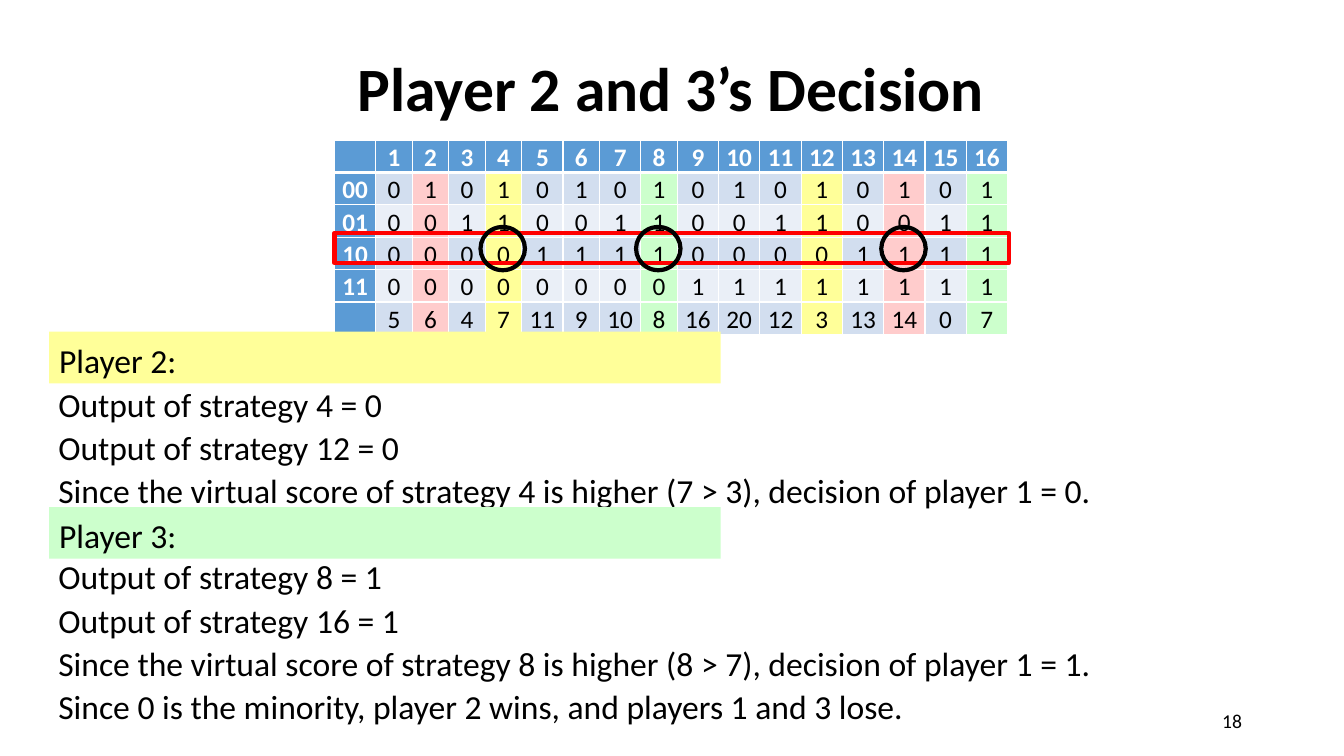
from lxml import etree
from pptx import Presentation
from pptx import util as u
from pptx.dml.color import RGBColor
from pptx.enum import shapes, text
from pptx.oxml import ns

BLACK = RGBColor(0x00, 0x00, 0x00)
WHITE = RGBColor(0xFF, 0xFF, 0xFF)
RED = RGBColor(0xFF, 0x00, 0x00)
BLUE = RGBColor(0x5B, 0x9B, 0xD5)
BANDS = (RGBColor(0xEA, 0xEF, 0xF7), RGBColor(0xD2, 0xDE, 0xEF))
PINK = RGBColor(0xFF, 0xCC, 0xCC)
YELLOW = RGBColor(0xFF, 0xFF, 0x99)
GREEN = RGBColor(0xCC, 0xFF, 0xCC)
FONT = "Calibri"

# Columns of the table belonging to each player
STRATEGY_FILLS = {2: PINK, 14: PINK, 4: YELLOW, 12: YELLOW, 8: GREEN, 16: GREEN}
CHOSEN_STRATEGIES = (14, 4, 8)
STRATEGY_ROWS = (
    [""] + [str(number) for number in range(1, 17)],
    "00 0 1 0 1 0 1 0 1 0 1 0 1 0 1 0 1".split(),
    "01 0 0 1 1 0 0 1 1 0 0 1 1 0 0 1 1".split(),
    "10 0 0 0 0 1 1 1 1 0 0 0 0 1 1 1 1".split(),
    "11 0 0 0 0 0 0 0 0 1 1 1 1 1 1 1 1".split(),
    ["", *"5 6 4 7 11 9 10 8 16 20 12 3 13 14 0 7".split()],
)
NARROW_COLUMNS = (1, 2, 3, 4, 6, 8)
COLUMN_WIDTHS = [0.92 if c in NARROW_COLUMNS else 1.04 for c in range(17)]
TABLE_LEFT, TABLE_TOP, ROW_HEIGHT = 8.43, 3.53, 0.78

REASONING = (
    ("Output of strategy 4 = 0",
     "Output of strategy 12 = 0",
     "Since the virtual score of strategy 4 is higher (7 > 3), decision of player 1 = 0."),
    ("Output of strategy 8 = 1",
     "Output of strategy 16 = 1",
     "Since the virtual score of strategy 8 is higher (8 > 7), decision of player 1 = 1.",
     "Since 0 is the minority, player 2 wins, and players 1 and 3 lose."),
)


def box(left, top, width, height):
    return [u.Cm(length) for length in (left, top, width, height)]


def write(paragraph, words, size, align, spacing=1.07, color=BLACK, bold=False):
    paragraph.alignment = align
    paragraph.line_spacing = spacing
    paragraph.font.size = u.Pt(size)
    if words:
        run = paragraph.add_run()
        run.text = words
        run.font.name = FONT
        run.font.size = u.Pt(size)
        run.font.bold = bold
        run.font.color.rgb = color


def add_line(slide, place, words, size, align, spacing=1.0, bold=False):
    frame = slide.shapes.add_textbox(*place).text_frame
    frame.word_wrap = True
    frame.vertical_anchor = text.MSO_ANCHOR.MIDDLE
    write(frame.paragraphs[0], words, size, align, spacing, bold=bold)


def add_borders(cell, widths):
    properties = cell._tc.get_or_add_tcPr()
    for side, points in zip("LRTB", widths):
        line = etree.SubElement(properties, ns.qn(f"a:ln{side}"), w=str(u.Pt(points)))
        fill = etree.SubElement(line, ns.qn("a:solidFill"))
        etree.SubElement(fill, ns.qn("a:srgbClr"), val=str(WHITE))


def add_strategy_table(slide):
    place = box(TABLE_LEFT, TABLE_TOP, sum(COLUMN_WIDTHS), ROW_HEIGHT * len(STRATEGY_ROWS))
    table = slide.shapes.add_table(len(STRATEGY_ROWS), len(COLUMN_WIDTHS), *place).table
    table.horz_banding = False
    for column, width in zip(table.columns, COLUMN_WIDTHS):
        column.width = u.Cm(width)
    for r, values in enumerate(STRATEGY_ROWS):
        table.rows[r].height = u.Cm(ROW_HEIGHT)
        for c, value in enumerate(values):
            cell = table.cell(r, c)
            heading = r == 0 or c == 0
            cell.margin_left = cell.margin_right = u.Cm(0.18)
            cell.margin_top = cell.margin_bottom = 0
            add_borders(cell, (1, 1, 3 if r == 1 else 1, 3 if r == 0 else 1))
            cell.fill.solid()
            cell.fill.fore_color.rgb = BLUE if heading else STRATEGY_FILLS.get(c, BANDS[r % 2])
            write(cell.text_frame.paragraphs[0], value, 18, text.PP_ALIGN.CENTER,
                  color=WHITE if heading else BLACK, bold=heading)


def add_reasoning(slide):
    frame = slide.shapes.add_textbox(*box(1.22, 9.47, 30.68, 9.4)).text_frame
    frame.word_wrap = True
    for player, sentences in enumerate(REASONING):
        for number, sentence in enumerate(sentences):
            first = player == number == 0
            paragraph = frame.paragraphs[0] if first else frame.add_paragraph()
            write(paragraph, sentence, 24, text.PP_ALIGN.JUSTIFY)
            if player and number == 0:
                paragraph.space_before = u.Pt(31)  # room for the player's heading


def add_player_heading(slide, top, words, color):
    heading = slide.shapes.add_shape(shapes.MSO_SHAPE.RECTANGLE, *box(1.24, top, 16.92, 1.3))
    heading.shadow.inherit = False
    heading.fill.solid()
    heading.fill.fore_color.rgb = color
    heading.line.fill.background()
    heading.text_frame.vertical_anchor = text.MSO_ANCHOR.TOP
    write(heading.text_frame.paragraphs[0], words, 24, text.PP_ALIGN.JUSTIFY)


def add_outline(slide, kind, place, color):
    outline = slide.shapes.add_shape(kind, *place)
    outline.shadow.inherit = False
    outline.fill.background()
    outline.line.color.rgb = color
    outline.line.width = u.Pt(3)


def main():
    deck = Presentation()
    deck.slide_width, deck.slide_height = u.Cm(33.87), u.Cm(19.05)
    slide = deck.slides.add_slide(deck.slide_layouts[6])

    # Page number, reasoning, table and title
    add_line(slide, box(23.93, 17.65, 7.62, 1.02), "18", 14, text.PP_ALIGN.RIGHT)
    add_reasoning(slide)
    add_strategy_table(slide)
    add_line(slide, box(0.43, 0.46, 32.97, 3.68), "Player 2 and 3’s Decision", 44,
             text.PP_ALIGN.CENTER, spacing=0.9, bold=True)

    # Current history row
    add_outline(slide, shapes.MSO_SHAPE.RECTANGLE, box(TABLE_LEFT, 5.87, 16.99, 0.76), RED)

    # Player headings
    add_player_heading(slide, 8.36, "Player 2:", YELLOW)
    add_player_heading(slide, 12.78, "Player 3:", GREEN)

    # Circles around the chosen outputs
    for strategy in CHOSEN_STRATEGIES:
        center = TABLE_LEFT + sum(COLUMN_WIDTHS[:strategy]) + COLUMN_WIDTHS[strategy] / 2
        add_outline(slide, shapes.MSO_SHAPE.OVAL, box(center - 0.58, 5.72, 1.12, 1.09), BLACK)

    deck.save("out.pptx")


if __name__ == "__main__":
    main()
